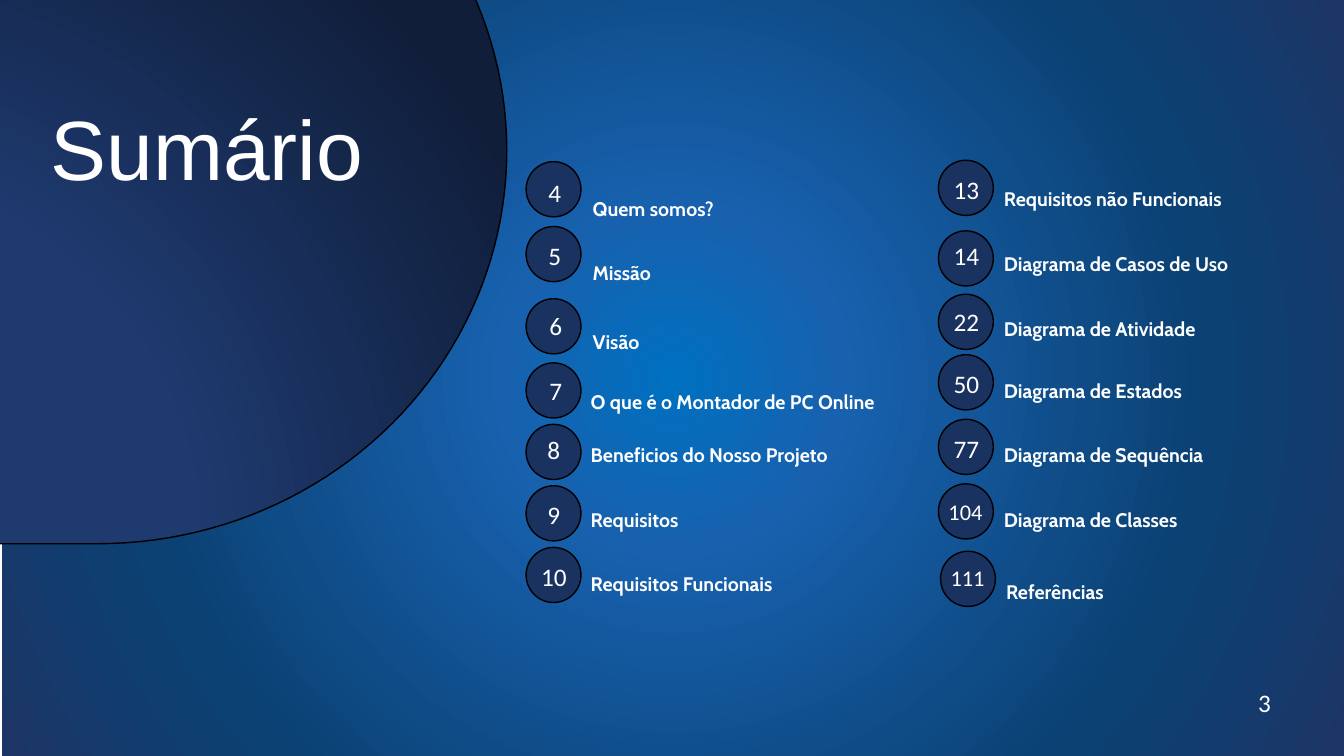
from dataclasses import dataclass
from math import cos, pi, sin

from lxml import etree
from pptx import Presentation
from pptx.dml.color import RGBColor
from pptx.enum.shapes import MSO_SHAPE
from pptx.oxml import parse_xml
from pptx.oxml.ns import nsdecls, qn
from pptx.shapes.autoshape import Shape
from pptx.slide import Slide
from pptx.util import Pt

RECT, OVAL = MSO_SHAPE.RECTANGLE, MSO_SHAPE.OVAL


@dataclass(frozen=True)
class Font:
    name: str
    size: float
    bold: bool = False
    spacing: float | None = None


@dataclass(frozen=True)
class Gradient:
    stops: tuple[tuple[int, str], ...]
    focus_top: int
    focus_bottom: int


@dataclass(frozen=True)
class Theme:
    text: RGBColor = RGBColor(0xFF, 0xFF, 0xFF)
    badge: RGBColor = RGBColor(0x1A, 0x32, 0x60)
    outline: RGBColor = RGBColor(0, 0, 0)
    title: Font = Font("Arial", 60, spacing=108)
    label: Font = Font("Cabin", 14, True, 39)
    number: Font = Font("Calibri", 18)
    long_number: Font = Font("Calibri", 16)
    backdrop: Gradient = Gradient(
        ((0, "0070C0"), (22, "1761AE"), (70, "0B4173"), (100, "1C3566")), 50, 50)
    pill: Gradient = Gradient(((46, "1E3A6F"), (100, "101E3A")), 130, -30)


@dataclass(frozen=True)
class Entry:
    """One summary line; the dx values are offsets from the badge's left edge."""
    number: str
    label: str
    badge_y: float
    number_dx: float
    number_y: float
    label_dx: float
    label_y: float
    shift: float = 0


THEME = Theme()
COLUMNS = {
    375.8: (
        Entry("4", "Quem somos?", 115.5, 15.9, 126.7, 47.6, 118.8),
        Entry("5", "Missão", 161.8, 15.9, 171.4, 47.6, 164.2),
        Entry("6", "Visão", 213.4, 16.6, 221.8, 47.6, 213.1),
        Entry("7", "O que é o Montador de PC Online", 259.2, 16.6, 267.8, 46.1, 256.3),
        Entry("8", "Beneficios do Nosso Projeto", 303.1, 15.2, 310.3, 46.1, 294.5),
        Entry("9", "Requisitos", 347, 15.2, 356.4, 46.1, 340.6),
        Entry("10", "Requisitos Funcionais", 391, 10.8, 401, 46.1, 386.6),
    ),
    670.3: (
        Entry("13", "Requisitos não Funcionais", 114.5, 10.8, 124.6, 46.8, 111.6),
        Entry("14", "Diagrama de Casos de Uso", 164.9, 10.8, 171.4, 46.8, 157.7),
        Entry("22", "Diagrama de Atividade", 210.2, 10.8, 218.9, 46.8, 203.8),
        Entry("50", "Diagrama de Estados", 253.4, 10.8, 262.8, 46.8, 248.4),
        Entry("77", "Diagrama de Sequência", 299.5, 10.8, 309.6, 46.8, 294.5),
        Entry("104", "Diagrama de Classes", 345.6, 7.2, 355.7, 46.8, 340.6),
        Entry("111", "Referências", 393.8, 7.2, 403.2, 46.8, 391.7, 1.5),
    ),
}


def fill_radial(shape: Shape, gradient: Gradient) -> None:
    """Replace the shape's fill with a circular gradient."""
    fill = parse_xml(f'<a:gradFill {nsdecls("a")} rotWithShape="1"/>')
    stops = etree.SubElement(fill, qn("a:gsLst"))
    for position, color in gradient.stops:
        stop = etree.SubElement(stops, qn("a:gs"), pos=str(position * 1000))
        etree.SubElement(stop, qn("a:srgbClr"), val=color)
    path = etree.SubElement(fill, qn("a:path"))
    path.set("path", "circle")
    etree.SubElement(path, qn("a:fillToRect"), l="50000", r="50000",
                     t=str(gradient.focus_top * 1000), b=str(gradient.focus_bottom * 1000))
    shape.fill.background()
    sp_pr = shape._element.spPr
    sp_pr.replace(sp_pr.find(qn("a:noFill")), fill)


def set_outline(shape: Shape) -> None:
    shape.shadow.inherit = False
    shape.line.color.rgb = THEME.outline
    shape.line.width = Pt(1)


def add_text(s: Slide, text: str, x: float, y: float, w: float, h: float, font: Font) -> None:
    tf = s.shapes.add_textbox(Pt(x), Pt(y), Pt(w), Pt(h)).text_frame
    tf.word_wrap = True
    tf.margin_left = tf.margin_right = tf.margin_top = tf.margin_bottom = 0
    p = tf.paragraphs[0]
    p.text = text
    if font.spacing:
        p.line_spacing = Pt(font.spacing)
    p.font.name = font.name
    p.font.size = Pt(font.size)
    p.font.bold = font.bold
    p.font.color.rgb = THEME.text


def add_backdrop(s: Slide) -> None:
    sp = s.shapes.add_shape(RECT, Pt(1.5), Pt(0), Pt(958.5), Pt(540))
    sp.shadow.inherit = False
    fill_radial(sp, THEME.backdrop)
    sp.line.fill.background()


def add_pill(s: Slide) -> None:
    """Draw the large rounded panel that bleeds off the top left corner."""
    left_x, right_x, center_y, rx, ry, steps = -319.7, 69.8, 107.4, 292.2, 281, 90
    points = []
    for center_x, start in ((right_x, -pi / 2), (left_x, pi / 2)):
        for i in range(steps + 1):
            angle = start + pi * i / steps
            points.append((Pt(center_x + rx * cos(angle)), Pt(center_y + ry * sin(angle))))
    builder = s.shapes.build_freeform(*points[0])
    builder.add_line_segments(points[1:], close=True)
    sp = builder.convert_to_shape()
    fill_radial(sp, THEME.pill)
    set_outline(sp)


def add_entry(s: Slide, entry: Entry, column_x: float) -> None:
    x = column_x + entry.shift
    badge = s.shapes.add_shape(OVAL, Pt(x), Pt(entry.badge_y), Pt(39.2), Pt(39.4))
    badge.fill.solid()
    badge.fill.fore_color.rgb = THEME.badge
    set_outline(badge)
    font = THEME.long_number if len(entry.number) > 2 else THEME.number
    add_text(s, entry.number, x + entry.number_dx, entry.number_y, 30, 22, font)
    add_text(s, entry.label, x + entry.label_dx, entry.label_y, 230, 32.4, THEME.label)


def main() -> None:
    prs = Presentation()
    prs.slide_width, prs.slide_height = Pt(960), Pt(540)
    s = prs.slides.add_slide(prs.slide_layouts[6])
    add_backdrop(s)
    add_pill(s)
    add_text(s, "Sumário", 36, 33.1, 558.7, 69, THEME.title)
    for column_x, entries in COLUMNS.items():
        for entry in entries:
            add_entry(s, entry, column_x)
    add_text(s, "3", 898.6, 491, 20, 22, THEME.number)
    prs.save("out.pptx")


if __name__ == "__main__":
    main()
